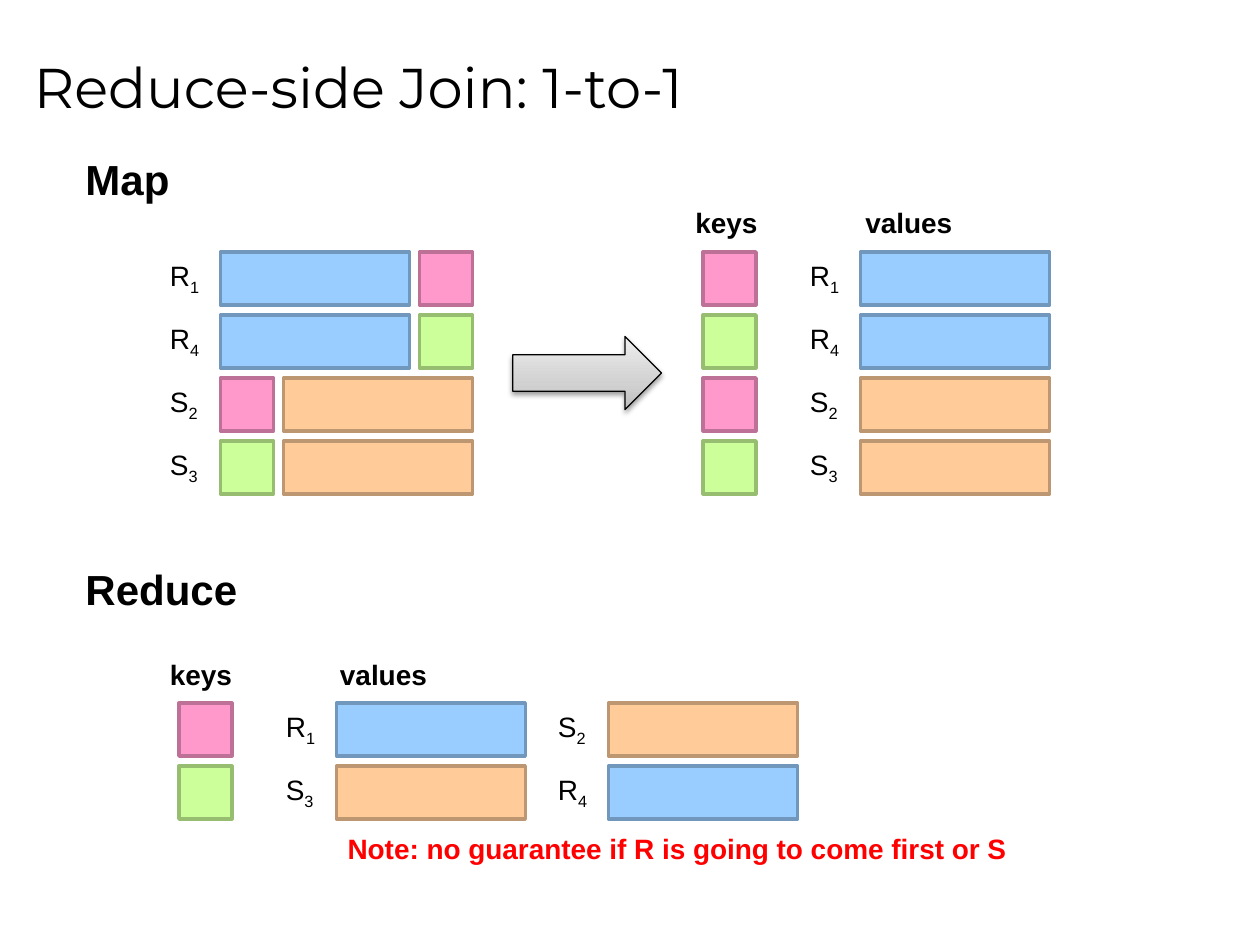
from lxml import etree
from pptx import Presentation
from pptx.dml.color import RGBColor
from pptx.enum.shapes import MSO_SHAPE
from pptx.enum.text import MSO_ANCHOR, MSO_AUTO_SIZE
from pptx.oxml.ns import qn
from pptx.util import Inches, Pt

RECTANGLE = MSO_SHAPE.RECTANGLE
RIGHT_ARROW = MSO_SHAPE.RIGHT_ARROW
MIDDLE = MSO_ANCHOR.MIDDLE
GROW = MSO_AUTO_SIZE.SHAPE_TO_FIT_TEXT

BLACK, RED = "000000", "FF0000"
# Each style is (fill, outline)
BLUE = ("99CCFF", "7197BD")
ORANGE = ("FFCC99", "BD9771")
PINK = ("FF99CC", "BD7197")
GREEN = ("CCFF99", "97BD71")
RELATION_STYLES = {"R": BLUE, "S": ORANGE}

ROW_STEP = 0.5
SIDE = 0.42         # key square, and height of every bar
BAR_WIDTH = 1.5
LABEL_OFFSET = 0.5  # from label to its bar

# Mapped tuples: (relation, index, key style)
TUPLES = [("R", 1, PINK), ("R", 4, GREEN), ("S", 2, PINK), ("S", 3, GREEN)]
# Reduced rows: (key style, values in order of arrival)
REDUCED = [(PINK, [("R", 1), ("S", 2)]), (GREEN, [("S", 3), ("R", 4)])]


def color(value):
    return RGBColor.from_string(value)


def add_text(shapes, text, left, top, width, height=0.37, size=16, bold=False,
             ink=BLACK, font="Arial", subscript=None):
    box = shapes.add_textbox(Inches(left), Inches(top), Inches(width), Inches(height))
    frame = box.text_frame
    frame.word_wrap = False
    frame.auto_size = GROW
    para = frame.paragraphs[0]
    para.font.name = font
    para.font.size = Pt(size)
    para.font.bold = bold
    para.font.color.rgb = color(ink)
    para.add_run().text = text
    if subscript is not None:
        span = para.add_run()
        span.text = str(subscript)
        span.font._element.set("baseline", "-25000")
    return box


def add_title(shapes, text):
    box = add_text(shapes, text, 0.17, 0.12, 9.5, 1.12, size=32, font="Montserrat")
    box.text_frame.auto_size = MSO_AUTO_SIZE.NONE
    box.text_frame.word_wrap = True
    box.text_frame.vertical_anchor = MIDDLE


def add_bar(shapes, left, top, width, style):
    bar = shapes.add_shape(RECTANGLE, Inches(left), Inches(top), Inches(width), Inches(SIDE))
    fill, outline = style
    bar.shadow.inherit = False
    bar.fill.solid()
    bar.fill.fore_color.rgb = color(fill)
    bar.line.color.rgb = color(outline)
    bar.line.width = Pt(2)


def add_key(shapes, left, top, style):
    add_bar(shapes, left, top, SIDE, style)


def add_label(shapes, relation, index, left, top):
    width = 0.45 if relation == "R" else 0.43
    add_text(shapes, relation, left, top, width, subscript=index)


def add_value(shapes, relation, index, left, top):
    add_bar(shapes, left + LABEL_OFFSET, top, BAR_WIDTH, RELATION_STYLES[relation])
    add_label(shapes, relation, index, left, top)


def add_input_row(shapes, relation, index, key_style, top):
    """Group one record: R keeps its key on the right, S on the left."""
    row = shapes.add_group_shape().shapes
    bar_left, key_left = (1.75, 3.33) if relation == "R" else (2.25, 1.75)
    add_bar(row, bar_left, top, BAR_WIDTH, RELATION_STYLES[relation])
    add_label(row, relation, index, 1.25, top)
    add_key(row, key_left, top, key_style)


def add_headers(shapes, keys_left, values_left, top):
    add_text(shapes, "keys", keys_left, top, 0.7, bold=True)
    add_text(shapes, "values", values_left, top, 0.9, bold=True)


def add_xml_color(parent, value):
    return etree.SubElement(parent, qn("a:srgbClr"), val=value)


def add_arrow(shapes):
    arrow = shapes.add_shape(RIGHT_ARROW, Inches(4.07), Inches(2.67), Inches(1.18), Inches(0.58))
    arrow.line.color.rgb = color(BLACK)
    arrow.line.width = Pt(0.75)

    # Three-stop gradient, dark at the bottom
    arrow.fill.gradient()
    arrow.fill.gradient_angle = 90
    properties = arrow._element.spPr
    stops = properties.find(qn("a:gradFill")).find(qn("a:gsLst"))
    for stop in list(stops):
        stops.remove(stop)
    for percent, value in [(0, "BDBDBD"), (35, "D1D1D1"), (100, "EEEEEE")]:
        stop = etree.SubElement(stops, qn("a:gs"), pos=str(percent * 1000))
        add_xml_color(stop, value)

    # Soft shadow below
    arrow.shadow.inherit = False
    shadow = etree.SubElement(
        properties.find(qn("a:effectLst")), qn("a:outerShdw"),
        blurRad=str(Pt(3.1)), dist=str(Pt(1.6)), dir="5400000", rotWithShape="0")
    etree.SubElement(add_xml_color(shadow, BLACK), qn("a:alpha"), val="38000")


def add_map_section(shapes):
    add_text(shapes, "Map", 0.58, 1.17, 0.88, 0.5, size=24, bold=True)
    add_headers(shapes, 5.42, 6.77, 1.58)
    for number, (relation, index, key_style) in enumerate(TUPLES):
        top = 2 + number * ROW_STEP
        add_input_row(shapes, relation, index, key_style, top)
        add_key(shapes, 5.58, top, key_style)
        add_value(shapes, relation, index, 6.33, top)
    add_arrow(shapes)


def add_reduce_section(shapes):
    add_text(shapes, "Reduce", 0.58, 4.42, 1.42, 0.5, size=24, bold=True)
    add_headers(shapes, 1.25, 2.6, 5.17)
    for number, (key_style, values) in enumerate(REDUCED):
        top = 5.58 + number * ROW_STEP
        add_key(shapes, 1.42, top, key_style)
        for column, (relation, index) in enumerate(values):
            add_value(shapes, relation, index, 2.17 + column * 2.16, top)
    add_text(shapes, "Note: no guarantee if R is going to come first or S",
             2.66, 6.55, 5.51, bold=True, ink=RED)


def main():
    deck = Presentation()
    deck.slide_width = Inches(10)
    deck.slide_height = Inches(7.5)
    page = deck.slides.add_slide(deck.slide_layouts[6])
    add_title(page.shapes, "Reduce-side Join: 1-to-1")
    add_map_section(page.shapes)
    add_reduce_section(page.shapes)
    deck.save("out.pptx")


if __name__ == "__main__":
    main()
